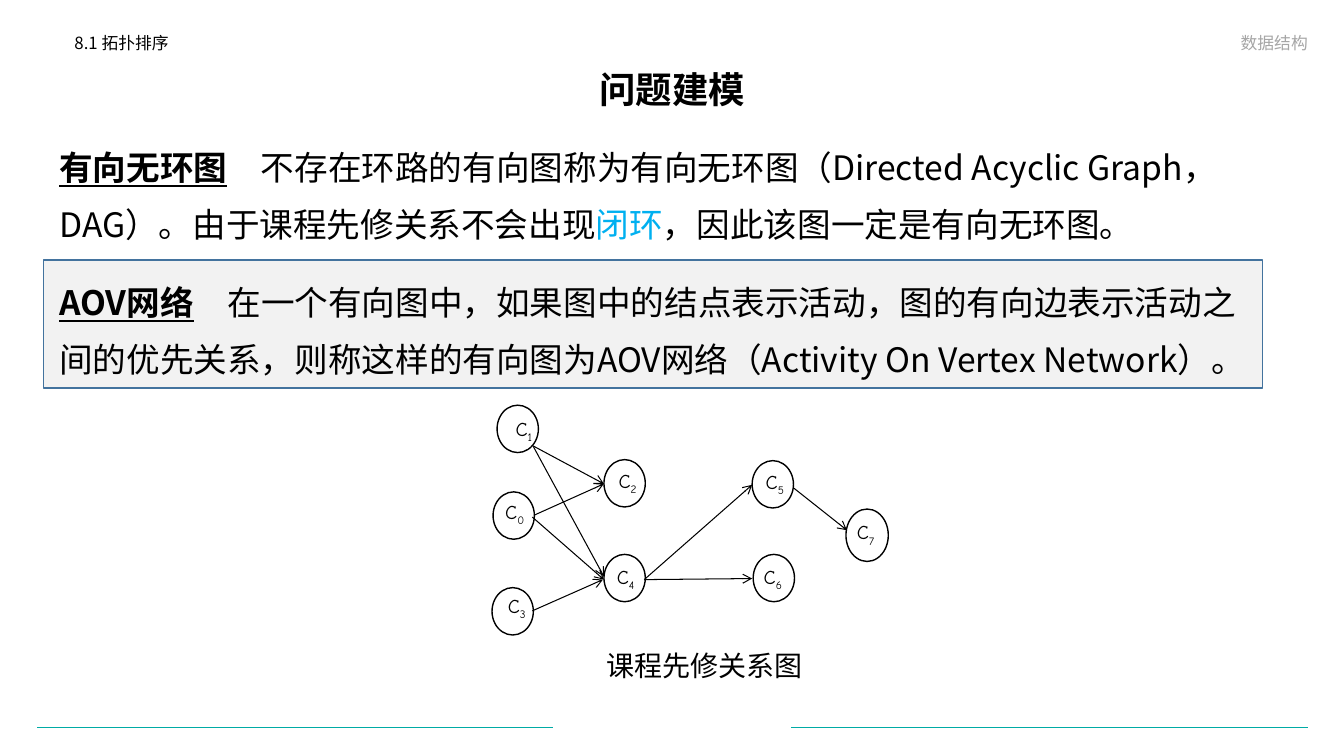
import pptx
import pptx.dml.color
import pptx.enum.shapes
import pptx.enum.text
import pptx.oxml.ns
import pptx.util
from lxml import etree

Inches = pptx.util.Inches
Pt = pptx.util.Pt
Shape = pptx.enum.shapes.MSO_SHAPE
Align = pptx.enum.text.PP_ALIGN
Anchor = pptx.enum.text.MSO_ANCHOR
qn = pptx.oxml.ns.qn


def colour(hex_string):
    return pptx.dml.color.RGBColor.from_string(hex_string)


class SlideBuilder:
    font = "Noto Sans CJK SC"
    node_font = "Comic Neue"
    black, white, teal = "000000", "FFFFFF", "00ABA5"

    def __init__(self, slide):
        self.slide = slide

    def shape(self, kind, box, fill, line):
        shape = self.slide.shapes.add_shape(kind, *map(Inches, box))
        shape.shadow.inherit = False
        shape.fill.solid()
        shape.fill.fore_color.rgb = colour(fill)
        shape.line.color.rgb = colour(line)
        shape.line.width = Pt(1)

    def line(self, start, end, hex_string, width, arrow=False):
        line = self.slide.shapes.add_connector(
            pptx.enum.shapes.MSO_CONNECTOR.STRAIGHT, *map(Inches, start + end))
        line.line.color.rgb = colour(hex_string)
        line.line.width = Pt(width)
        if arrow:
            etree.SubElement(line.line._get_or_add_ln(), qn("a:tailEnd"), type="arrow")
        etree.SubElement(line._element.spPr, qn("a:effectLst"))

    def frame(self, shape, anchor, inset=True):
        frame = shape.text_frame
        frame.word_wrap = True
        frame.vertical_anchor = anchor
        if not inset:
            frame.margin_left = frame.margin_right = 0
            frame.margin_top = frame.margin_bottom = 0
        return frame

    def run(self, paragraph, text, size, hex_string="000000", font=None,
            bold=False, underline=False, baseline=None):
        run = paragraph.add_run()
        run.text = text
        run.font.size = Pt(size)
        run.font.name = font or self.font
        run.font.bold = bold
        run.font.underline = underline
        run.font.color.rgb = colour(hex_string)
        properties = run.font._element
        etree.SubElement(properties, qn("a:ea"), typeface=font or self.font)
        if baseline:
            properties.set("baseline", str(baseline * 1000))

    def title(self, box, text):
        title = self.slide.shapes.title
        title.left, title.top, title.width, title.height = map(Inches, box)
        paragraph = self.frame(title, Anchor.MIDDLE).paragraphs[0]
        paragraph.alignment = Align.CENTER
        paragraph.line_spacing = 0.9
        self.run(paragraph, text, 26, bold=True)

    def text(self, box, paragraphs, align=Align.LEFT, anchor=Anchor.TOP,
             spacing=1.0, before=0, after=0, inset=True):
        textbox = self.slide.shapes.add_textbox(*map(Inches, box))
        frame = self.frame(textbox, anchor, inset)
        for index, runs in enumerate(paragraphs):
            paragraph = frame.add_paragraph() if index else frame.paragraphs[0]
            paragraph.alignment = align
            paragraph.line_spacing = spacing
            paragraph.space_before = Pt(before if index else 0)
            paragraph.space_after = Pt(after)
            for text, size, style in runs:
                self.run(paragraph, text, size, **style)

    def node(self, number, oval, label, baseline=-25):
        self.shape(Shape.OVAL, oval, self.white, self.black)
        style = {"font": self.node_font}
        runs = [("C", 14, style), (number, 14, {**style, "baseline": baseline})]
        self.text(label, [runs], Align.CENTER, Anchor.MIDDLE, inset=False)


def main():
    deck = pptx.Presentation()
    deck.slide_width, deck.slide_height = Inches(13.33), Inches(7.5)
    page = SlideBuilder(deck.slides.add_slide(deck.slide_layouts[5]))

    for right, left in [(5.48, 0.37), (12.97, 7.85)]:
        page.line((right, 7.22), (left, 7.22), page.teal, 0.5)

    page.shape(Shape.RECTANGLE, (0.43, 2.58, 12.09, 1.27), "F2F2F2", "43739E")
    page.title((0.92, 0.62, 11.5, 0.57), "问题建模")
    page.text((0.64, 0.3, 5.32, 0.36), [[("8.1 拓扑排序", 12, {})]], spacing=0.9)
    page.text((7.43, 0.22, 5.64, 0.35),
              [[("数据结构", 12, {"hex_string": "A6A6A6"})]],
              Align.RIGHT, Anchor.BOTTOM)

    term = {"bold": True, "underline": True}
    definitions = [
        [("有向无环图", 24, term),
         ("　不存在环路的有向图称为有向无环图（Directed Acyclic Graph，DAG）。"
          "由于课程先修关系不会出现", 24, {}),
         ("闭环", 24, {"hex_string": "00B0F0"}),
         ("，因此该图一定是有向无环图。", 24, {})],
        [("AOV网络", 24, term),
         ("　在一个有向图中，如果图中的结点表示活动，图的有向边表示活动之间的优先关系，"
          "则称这样的有向图为AOV网络（Activity On Vertex Network）。", 24, {})],
    ]
    page.text((0.49, 1.25, 12.13, 2.77), definitions, spacing=1.4, before=10, after=6)
    page.text((4.08, 6.43, 5.82, 0.34), [[("课程先修关系图", 20, {})]],
              Align.CENTER, inset=False)

    courses = {
        "0": ((4.89, 4.88), (4.9, 4.86)),
        "1": ((4.93, 4.02), (4.99, 4.03)),
        "2": ((5.99, 4.56), (6.02, 4.55)),
        "3": ((4.88, 5.83), (4.92, 5.79)),
        "4": ((5.99, 5.5), (6, 5.5)),
        "5": ((7.46, 4.57), (7.48, 4.56)),
        "6": ((7.47, 5.5), (7.46, 5.5)),
    }
    node_size = (0.41, 0.47)
    for number, (oval, label) in courses.items():
        page.node(number, oval + node_size, label + node_size)
    page.node("7", (8.39, 5.05, 0.42, 0.52), (8.38, 5.06, 0.41, 0.47), baseline=-30)

    prerequisites = [
        ((5.3, 5.11), (5.99, 4.8)),
        ((6.39, 5.75), (7.46, 4.81)),
        ((5.28, 4.42), (5.99, 4.8)),
        ((5.28, 5.13), (5.99, 5.75)),
        ((5.29, 4.43), (5.99, 5.72)),
        ((5.28, 6.06), (5.98, 5.75)),
        ((6.4, 5.75), (7.46, 5.74)),
        ((7.87, 4.84), (8.4, 5.26)),
    ]
    for start, end in prerequisites:
        page.line(start, end, page.black, 0.75, arrow=True)

    deck.save("out.pptx")


if __name__ == "__main__":
    main()
